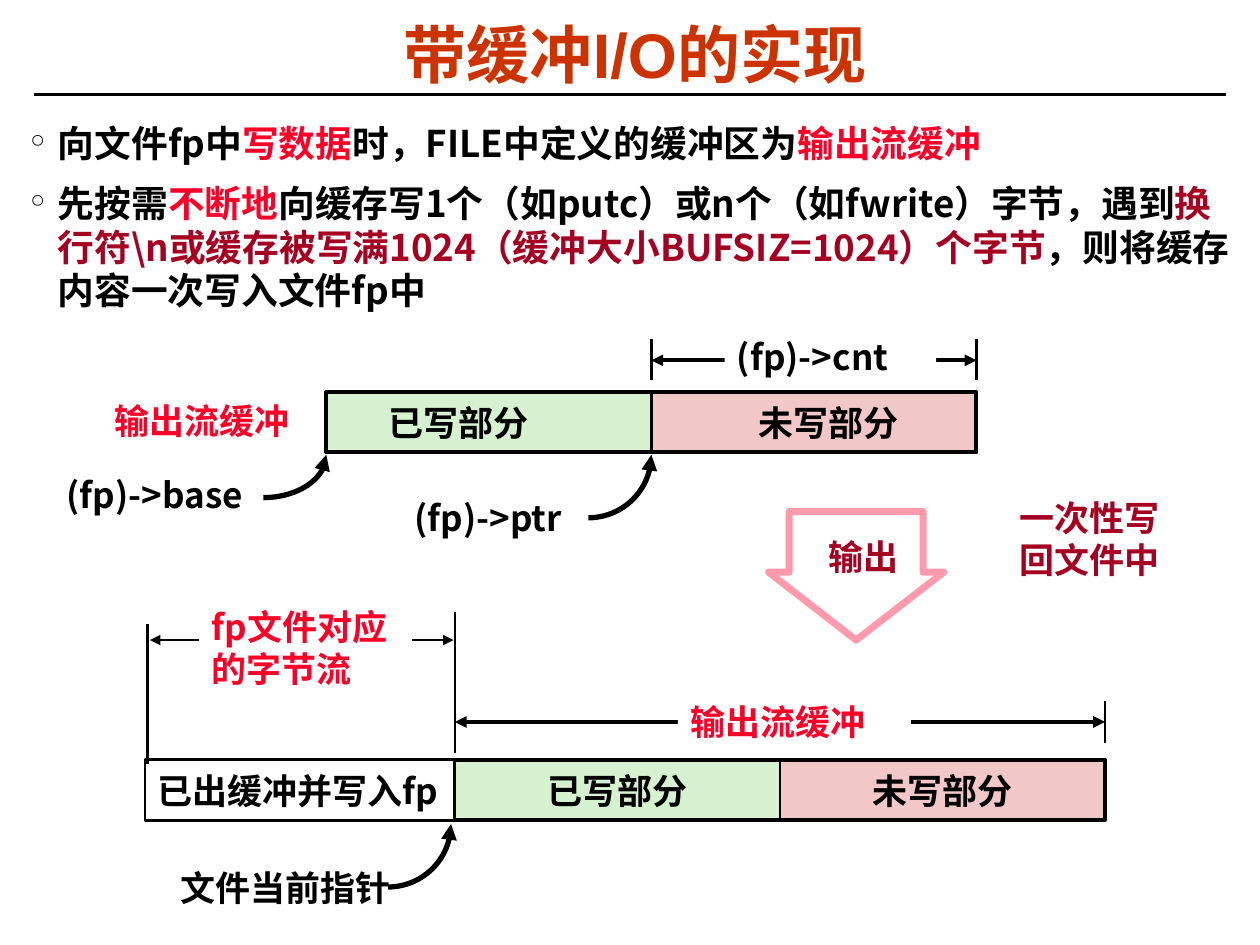
from math import cos, pi, sin

from lxml.etree import SubElement
from pptx import Presentation
from pptx.dml.color import RGBColor
from pptx.enum.shapes import MSO_CONNECTOR as CONN, MSO_SHAPE as SHAPE
from pptx.enum.text import MSO_ANCHOR as ANCHOR, PP_ALIGN as ALIGN
from pptx.oxml.ns import qn
from pptx.util import Inches, Pt

CJK, LATIN, TITLE = "Noto Sans CJK SC", "Calibri", "Arial"
BLACK, WHITE, RED, MAROON = "000000", "FFFFFF", "FC0128", "A50021"
ORANGE, GREEN, ROSE, PINK = "CC3300", "D5F1CF", "F1C7C7", "FE9AAB"
CELL_W, CELL_H = 2.58, 0.48


def rgb(value):
    return RGBColor.from_string(value)


def add_run(p, text, font=CJK, size=20, color=BLACK):
    r = p.add_run()
    r.text = text
    r.font.name, r.font.size, r.font.bold = font, Pt(size), True
    r.font.color.rgb = rgb(color)
    SubElement(r.font._element, qn("a:ea"), typeface=CJK)


def write(sp, runs, size=20, align=ALIGN.LEFT, anchor=ANCHOR.TOP,
          left=0.1, right=0.05, spacing=None, **fmt):
    tf = sp.text_frame
    tf.word_wrap = True
    tf.vertical_anchor = anchor
    tf.margin_left, tf.margin_right = Inches(left), Inches(right)
    tf.margin_top = tf.margin_bottom = Inches(0.05)
    p = tf.paragraphs[0]
    p.alignment = align
    p.line_spacing = spacing or Pt(size * 1.2)
    for text, font in runs:
        add_run(p, text, font, size, **fmt)


def label(s, text, x, y, w, h=0.44, font=CJK, fill=None, **fmt):
    sp = s.shapes.add_textbox(Inches(x), Inches(y), Inches(w), Inches(h))
    if fill:
        sp.fill.solid()
        sp.fill.fore_color.rgb = rgb(fill)
    write(sp, text if isinstance(text, list) else [(text, font)], **fmt)


def outline(sp, color=BLACK, width=1.5):
    sp.shadow.inherit = False
    sp.line.color.rgb = rgb(color)
    sp.line.width = Pt(width)


def box(s, x, y, w, h=CELL_H, fill=None, width=1.5, shape=SHAPE.RECTANGLE, color=BLACK):
    sp = s.shapes.add_shape(shape, Inches(x), Inches(y), Inches(w), Inches(h))
    outline(sp, color, width)
    if fill:
        sp.fill.solid()
        sp.fill.fore_color.rgb = rgb(fill)
    else:
        sp.fill.background()
    return sp


def cell(s, runs, x, y, w, fill, **fmt):
    write(box(s, x, y, w, fill=fill), runs, anchor=ANCHOR.MIDDLE, **fmt)


def arrowheads(sp, *ends):
    ln = sp.line._get_or_add_ln()
    for end in ends:
        SubElement(ln, qn("a:" + end), type="triangle")


def line(s, x1, y1, x2, y2, width=1.5, ends=()):
    c = s.shapes.add_connector(CONN.STRAIGHT, *map(Inches, (x1, y1, x2, y2)))
    c.line.color.rgb = rgb(BLACK)
    c.line.width = Pt(width)
    arrowheads(c, *ends)
    SubElement(c._element.spPr, qn("a:effectLst"))


def dimension(s, x1, x2, y, width=2.25):
    line(s, x1, y, x2, y, width, ("headEnd", "tailEnd"))


def ticks(s, xs, top, bottom):
    for x in xs:
        line(s, x, top, x, bottom)


def pointer(s, x, y, h=0.5, w=0.5, steps=24):
    angles = [i * pi / 2 / steps for i in range(steps + 1)]
    points = [(Inches(x - w + w * cos(a)), Inches(y + h * sin(a))) for a in angles]
    fb = s.shapes.build_freeform(*points[0])
    fb.add_line_segments(points[1:], close=False)
    sp = fb.convert_to_shape()
    sp.fill.background()
    outline(sp, width=3)
    arrowheads(sp, "headEnd")


def header(s, x, y, w):
    line(s, x, y + 0.75, x + w, y + 0.75)
    label(s, "带缓冲I/O的实现", x + 0.62, y + 0.16, 8.3, 0.62, TITLE, size=36,
          color=ORANGE, align=ALIGN.CENTER, anchor=ANCHOR.MIDDLE, right=0.1, spacing=0.87)


def bullets(s, x, y, w, h, items):
    tf = s.shapes.add_textbox(Inches(x), Inches(y), Inches(w), Inches(h)).text_frame
    tf.word_wrap = True
    for i, item in enumerate(items):
        p = tf.add_paragraph() if i else tf.paragraphs[0]
        pPr = p._p.get_or_add_pPr()
        pPr.set("marL", str(Inches(0.22)))
        pPr.set("indent", str(-Inches(0.22)))
        SubElement(SubElement(pPr, qn("a:buClr")), qn("a:srgbClr"), val=BLACK)
        SubElement(pPr, qn("a:buChar"), char="°")
        p.line_spacing = Pt(25.1)
        p.space_before = Pt(9.1 if i else 0)
        for text, color in item:
            add_run(p, text, size=21, color=color)


def stream_buffer(s, x, y):
    middle, end = x + CELL_W, x + 2 * CELL_W
    cell(s, [("未写部分", LATIN)], middle, y, CELL_W, ROSE, left=0.85)
    cell(s, [("已写部分", LATIN)], x, y, CELL_W, GREEN, left=0.49)
    box(s, x, y, 2 * CELL_W, width=2.25)
    label(s, "输出流缓冲", x - 1.78, y + 0.01, 1.76, font=LATIN, color=RED)
    pointer(s, x, y + 0.5, 0.34)
    pointer(s, middle, y + 0.5)
    label(s, "(fp)->base", x - 2.16, y + 0.6, 1.88)
    label(s, "(fp)->ptr", x + 0.6, y + 0.78, 1.61)
    ticks(s, (middle, end), y - 0.42, y - 0.09)
    dimension(s, middle, end, y - 0.25)
    label(s, "(fp)->cnt", middle + 0.58, y - 0.5, 1.68, fill=WHITE)


def file_stream(s, x, y, written_w):
    start = x + written_w
    end = start + 2 * CELL_W
    for i, (text, fill) in enumerate((("已写部分", GREEN), ("未写部分", ROSE))):
        cell(s, [(text, CJK)], start + i * CELL_W, y, CELL_W, fill,
             align=ALIGN.CENTER, right=0.1)
    box(s, x + 0.29, y, end - x - 0.29, width=2.25)
    cell(s, [("已出缓冲并写入", LATIN), ("fp", CJK)], x, y, written_w, WHITE, right=0)
    pointer(s, start - 0.03, y + 0.51)
    label(s, "文件当前指针", x + 0.09, y + 0.8, 1.96, font=LATIN,
          align=ALIGN.RIGHT, right=0.1)
    ticks(s, (start, end), y - 0.47, y - 0.13)
    dimension(s, start, end, y - 0.3)
    label(s, "输出流缓冲", start + 1.77, y - 0.52, 1.85, font=LATIN, fill=WHITE, color=RED)
    line(s, start, y - 1.17, start, y - 0.05)
    line(s, x + 0.02, y - 1.08, x + 0.02, y + 0.03)
    dimension(s, x + 0.04, start - 0.01, y - 0.95, 1.5)
    label(s, [("fp", CJK), ("文件对应的字节流", LATIN)], x + 0.43, y - 1.27, 1.69, 0.77,
          fill=WHITE, color=RED)


def output_arrow(s, x, y, w, h):
    sp = box(s, x, y, w, h, width=4, shape=SHAPE.DOWN_ARROW, color=PINK)
    sp.adjustments[0], sp.adjustments[1] = 0.765, 0.528
    label(s, "输出", x + 0.38, y + 0.14, 0.76, color=MAROON)
    label(s, "一次性写回文件中", x + 1.89, y - 0.17, 1.44, 0.77, color=MAROON)


def main():
    prs = Presentation()
    prs.slide_width, prs.slide_height = Inches(10), Inches(7.5)
    s = prs.slides.add_slide(prs.slide_layouts[6])
    header(s, 0.27, 0, 9.46)
    bullets(s, 0.14, 0.91, 9.73, 1.63, [
        [("向文件fp中", BLACK), ("写数据", RED),
         ("时，FILE中定义的缓冲区为", BLACK), ("输出流缓冲", RED)],
        [("先按需", BLACK), ("不断地", RED),
         ("向缓存写1个（如putc）或n个（如fwrite）字节，遇到", BLACK),
         ("换行符\\n或缓存被写满1024（缓冲大小BUFSIZ=1024）个字节", MAROON),
         ("，则将缓存内容一次写入文件fp中", BLACK)],
    ])
    stream_buffer(s, 2.59, 3.11)
    file_stream(s, 1.15, 6.03, 2.46)
    output_arrow(s, 6.1, 4.06, 1.39, 1.02)
    prs.save("out.pptx")


if __name__ == "__main__":
    main()
